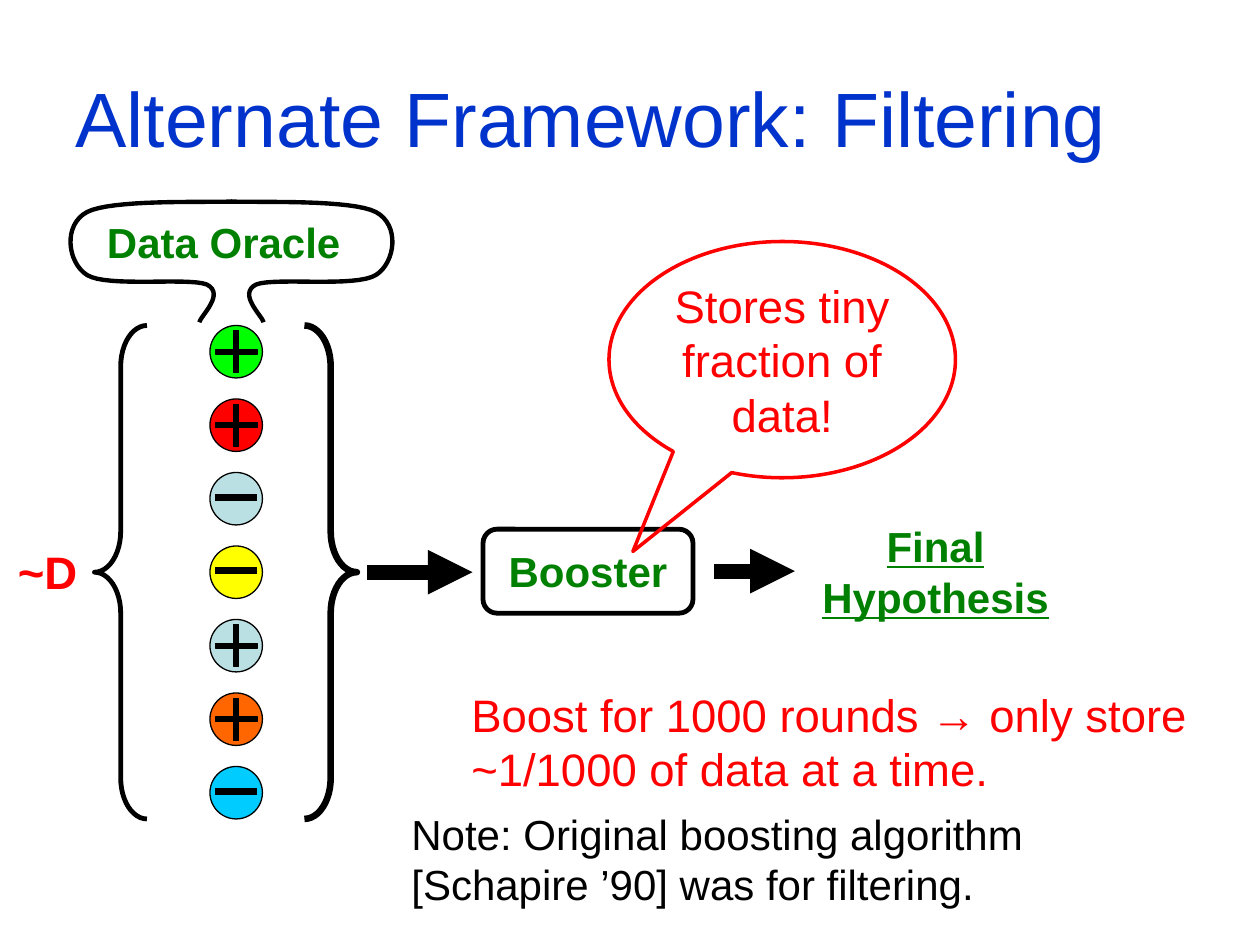
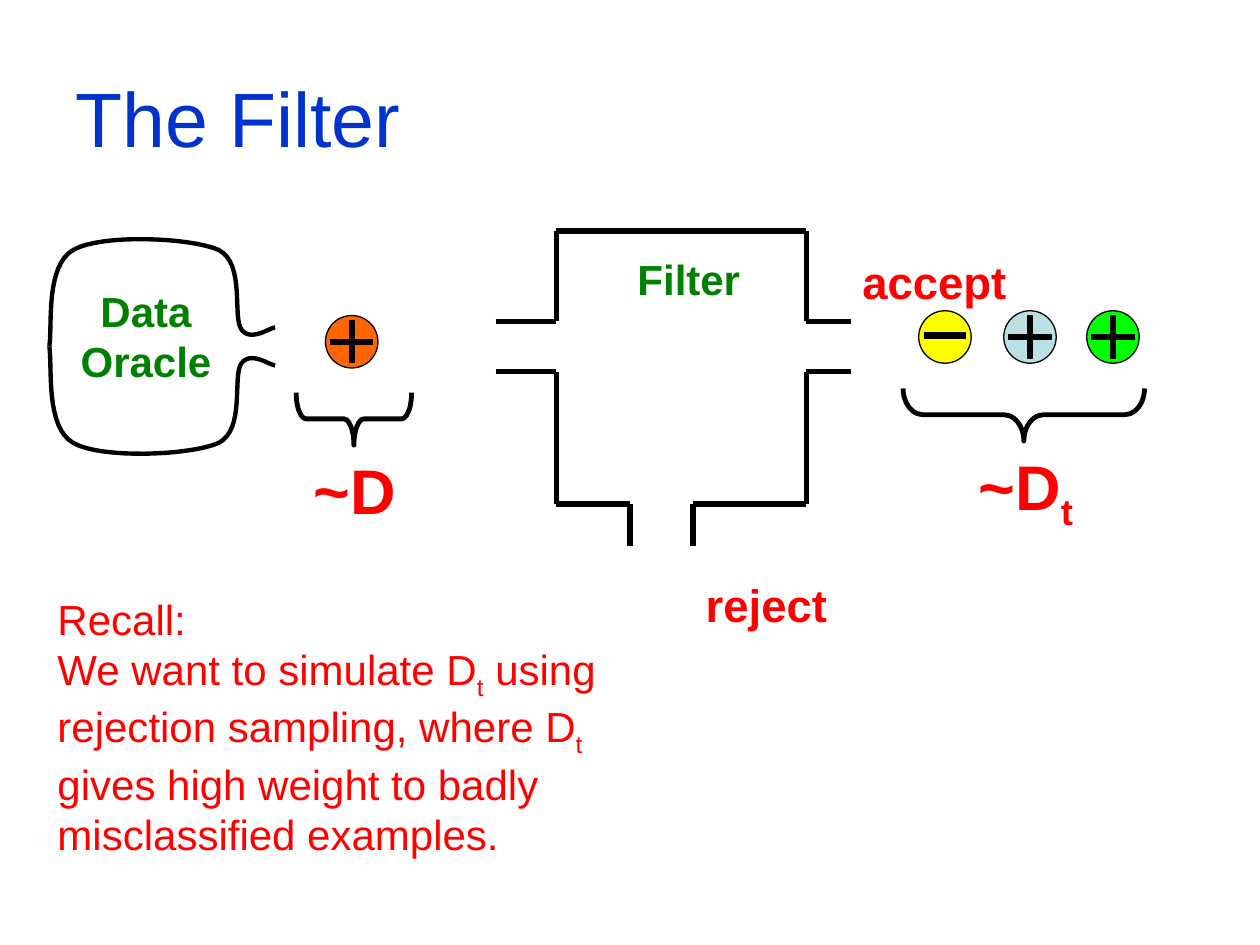
"""Build two slides on boosting by filtering, laid out on a 120 by 90 grid."""
from dataclasses import dataclass
from itertools import pairwise

from lxml import etree
from pptx import Presentation, util as u
from pptx.dml.color import RGBColor
from pptx.enum import shapes, text
from pptx.oxml.ns import qn

WIDTH, HEIGHT = u.Inches(10), u.Inches(7.5)
COLUMNS, ROWS = 120, 90
FONT = "Arial"
BLACK, BLUE, GREEN, RED = "000000", "0033CC", "008000", "FF0000"
LIME, PALE, YELLOW, ORANGE, SKY = "00FF00", "BBE0E3", "FFFF00", "FF6600", "00CCFF"
KIND = shapes.MSO_SHAPE
LEFT, CENTER = text.PP_ALIGN.LEFT, text.PP_ALIGN.CENTER
ORB, MARK = 5, 4
CURVE_STEPS = 16

Point = tuple[float, float]


@dataclass(frozen=True)
class Area:
    """A place on the grid, in columns and rows."""
    left: float
    top: float
    width: float
    height: float


@dataclass(frozen=True)
class Style:
    """How a piece of text looks."""
    size: float
    color: str
    bold: bool = False
    underline: bool = False
    align: text.PP_ALIGN = CENTER


@dataclass(frozen=True)
class Label:
    """Text in an area; bars enclose subscripts."""
    words: str
    area: Area
    style: Style
    wrap: bool = True
    anchor: text.MSO_ANCHOR = text.MSO_ANCHOR.TOP


@dataclass(frozen=True)
class Orb:
    """A coloured example with its plus or minus sign."""
    x: float
    y: float
    color: str
    positive: bool


@dataclass(frozen=True)
class Brace:
    """A curly brace; bend is its corner length as a share of its depth."""
    area: Area
    weight: float
    bend: float
    kind: shapes.MSO_SHAPE = KIND.RIGHT_BRACE
    turn: float = 0


TITLE = Style(44, BLUE, align=LEFT)
NAME = Style(24, GREEN, bold=True)
RESULT = Style(24, GREEN, bold=True, underline=True)
TAG = Style(26, RED, bold=True)
BIG_TAG = Style(36, RED, bold=True)
SPEECH = Style(26, RED)
CLAIM = Style(26, RED, align=LEFT)
RECALL = Style(24, RED, align=LEFT)
REMARK = Style(24, BLACK, align=LEFT)


def across(columns: float) -> int:
    """Turn columns into a length."""
    return round(columns * WIDTH / COLUMNS)


def down(rows: float) -> int:
    """Turn rows into a length."""
    return round(rows * HEIGHT / ROWS)


def place(area: Area) -> tuple[int, int, int, int]:
    """Turn an area into left, top, width and height."""
    return across(area.left), down(area.top), across(area.width), down(area.height)


def rgb(color: str) -> RGBColor:
    """Turn a hex string into a colour."""
    return RGBColor.from_string(color)


def apply(target, values: dict) -> None:
    """Set each named attribute of the target."""
    for name, value in values.items():
        setattr(target, name, value)


def set_line(shape, color: str, weight: float) -> None:
    """Colour and size a line."""
    shape.line.color.rgb = rgb(color)
    shape.line.width = u.Pt(weight)


def finish(shape, fill: str | None, color: str, weight: float):
    """Give a shape its fill and line, without a shadow."""
    shape.shadow.inherit = False
    if fill:
        shape.fill.solid()
        shape.fill.fore_color.rgb = rgb(fill)
    else:
        shape.fill.background()
    set_line(shape, color, weight)
    return shape


def write(box, words: str, style: Style, wrap: bool, anchor: text.MSO_ANCHOR) -> None:
    """Fill a shape with styled paragraphs."""
    frame = box.text_frame
    apply(frame, {"word_wrap": wrap, "vertical_anchor": anchor})
    if not wrap:
        frame.auto_size = text.MSO_AUTO_SIZE.SHAPE_TO_FIT_TEXT
    for row, line in enumerate(words.split("\n")):
        para = frame.add_paragraph() if row else frame.paragraphs[0]
        para.alignment = style.align
        for part, piece in enumerate(line.split("|")):
            if not piece:
                continue
            span = para.add_run()
            span.text = piece
            apply(span.font, {"name": FONT, "size": u.Pt(style.size),
                              "bold": style.bold, "underline": style.underline})
            span.font.color.rgb = rgb(style.color)
            if part % 2:
                span.font._element.set("baseline", "-25000")


def add_label(page, label: Label) -> None:
    """Draw a text box."""
    box = page.shapes.add_textbox(*place(label.area))
    write(box, label.words, label.style, label.wrap, label.anchor)


def add_preset(page, kind, area: Area, fill: str | None, color: str, weight: float,
               adjust: tuple[float, ...] = ()):
    """Draw a preset shape."""
    shape = page.shapes.add_shape(kind, *place(area))
    for index, value in enumerate(adjust):
        shape.adjustments[index] = value
    return finish(shape, fill, color, weight)


def add_line(page, start: Point, end: Point, weight: float, arrow: bool = False) -> None:
    """Draw a straight black line, with an arrowhead if asked."""
    line = page.shapes.add_connector(shapes.MSO_CONNECTOR.STRAIGHT, across(start[0]),
                                     down(start[1]), across(end[0]), down(end[1]))
    set_line(line, BLACK, weight)
    if arrow:
        etree.SubElement(line.line._get_or_add_ln(), qn("a:tailEnd"), type="triangle")
    etree.SubElement(line._element.spPr, qn("a:effectLst"))


def add_orb(page, orb: Orb) -> None:
    """Draw an example and its sign."""
    def centred(size: float) -> Area:
        """Centre a square on the orb."""
        return Area(orb.x - size / 2, orb.y - size / 2, size, size)

    add_preset(page, KIND.OVAL, centred(ORB), orb.color, BLACK, 0.75)
    if orb.positive:
        add_preset(page, KIND.CROSS, centred(MARK), BLACK, BLACK, 0.75, (0.443,))
    else:
        y = orb.y - 0.15
        add_line(page, (orb.x - MARK / 2, y), (orb.x + MARK / 2, y), 4)


def add_brace(page, brace: Brace) -> None:
    """Draw a curly brace."""
    shape = add_preset(page, brace.kind, brace.area, None, BLACK, brace.weight,
                       (brace.bend, 0.5))
    shape.rotation = brace.turn


def bezier(a: Point, b: Point, c: Point, d: Point) -> list[Point]:
    """Sample a cubic curve after its first point."""
    samples = []
    for step in range(1, CURVE_STEPS + 1):
        t = step / CURVE_STEPS
        s = 1 - t
        weights = s ** 3, 3 * s * s * t, 3 * s * t * t, t ** 3
        samples.append(tuple(sum(w * p[axis] for w, p in zip(weights, (a, b, c, d)))
                             for axis in (0, 1)))
    return samples


def add_curve(page, knots: list[Point]) -> None:
    """Draw an open outline through joined cubic curves."""
    points = [knots[0]]
    for first in range(0, len(knots) - 1, 3):
        points += bezier(*knots[first:first + 4])
    dots = [(across(x), down(y)) for x, y in points]
    pen = page.shapes.build_freeform(*dots[0])
    pen.add_line_segments(dots[1:], close=False)
    finish(pen.convert_to_shape(), None, BLACK, 2.5)


def add_page(deck, title: str):
    """Add a blank page with its title."""
    page = deck.slides.add_slide(deck.slide_layouts[6])
    add_label(page, Label(title, Area(6, 3.6, 108, 15), TITLE,
                          anchor=text.MSO_ANCHOR.MIDDLE))
    return page


def build_framework(deck) -> None:
    """Show the oracle feeding the booster."""
    page = add_page(deck, "Alternate Framework: Filtering")
    examples = [(LIME, True), (RED, True), (PALE, False), (YELLOW, False),
                (PALE, True), (ORANGE, True), (SKY, False)]
    for row, (color, positive) in enumerate(examples):
        add_orb(page, Orb(22.5, 33.5 + 7 * row, color, positive))

    flask = [(19, 30.7), (19.1, 30.1), (21.5, 28), (19.7, 27.1), (17.9, 26.4),
             (10.2, 27.4), (8.3, 26.2), (6.4, 25), (6, 21.4), (8.3, 20.2),
             (10.6, 19), (19.2, 19.3), (22.1, 19.2)]
    add_curve(page, flask)
    add_curve(page, [(44.1 - x, y) for x, y in flask])

    add_brace(page, Brace(Area(9, 31, 5, 47), 2.75, 0.78, KIND.LEFT_BRACE))
    add_brace(page, Brace(Area(29, 31, 5, 47), 3.75, 0.78))
    add_line(page, (35, 54.5), (45, 54.5), 8.5, arrow=True)
    add_line(page, (68, 54.4), (75.7, 54.4), 8.5, arrow=True)
    add_preset(page, KIND.ROUNDED_RECTANGLE, Area(46, 50.4, 20, 8), None, BLACK, 2.75,
               (0.167,))
    for label in (
        Label("Data Oracle", Area(9, 20, 24.6, 6), NAME, wrap=False),
        Label("Booster", Area(47, 51.4, 18, 6), NAME),
        Label("Final Hypothesis", Area(75.7, 49, 26.8, 10.8), RESULT),
        Label("~D", Area(0.1, 51.2, 8.9, 6.5), TAG),
        Label("Boost for 1000 rounds → only store ~1/1000 of data at a time.",
              Area(43.7, 64.8, 72.4, 11.6), CLAIM),
        Label("Note: Original boosting algorithm [Schapire ’90] was for filtering.",
              Area(38, 76.4, 72.4, 10.8), REMARK),
    ):
        add_label(page, label)
    callout = add_preset(page, KIND.OVAL_CALLOUT, Area(58, 23, 33, 22.5), None, RED, 2,
                         (-0.431, 0.812))
    write(callout, "Stores tiny fraction of data!", SPEECH, True, text.MSO_ANCHOR.MIDDLE)


def build_filter(deck) -> None:
    """Show the filter accepting and rejecting examples."""
    page = add_page(deck, "The Filter")
    for orb in (Orb(33.5, 32.55, ORANGE, True), Orb(90, 32.1, YELLOW, False),
                Orb(98.1, 32.1, PALE, True), Orb(106, 32.1, LIME, True)):
        add_orb(page, orb)

    bottle = [(26.2, 31.2), (25.7, 31.2), (23.9, 32.6), (23, 31.4), (22.1, 30.2),
              (23.4, 25.1), (20.8, 23.8), (18, 22.6), (9.6, 22.3), (7, 23.8),
              (4.3, 25.3), (5, 31), (4.7, 33)]
    add_curve(page, bottle)
    add_curve(page, [(x, 66 - y) for x, y in bottle])

    inlet, west, east, outlet = 47.2, 53, 76.8, 81
    roof, upper, lower, floor, drain = 22, 30.6, 35.4, 48, 52
    walls = [
        [(inlet, upper), (west, upper), (west, roof), (east, roof), (east, upper),
         (outlet, upper)],
        [(inlet, lower), (west, lower), (west, floor), (60, floor), (60, drain)],
        [(outlet, lower), (east, lower), (east, floor), (66, floor), (66, drain)],
    ]
    for wall in walls:
        for start, end in pairwise(wall):
            add_line(page, start, end, 3)

    add_brace(page, Brace(Area(31.2, 34.4, 5, 11), 2.75, 0.19, turn=90))
    add_brace(page, Brace(Area(95, 28, 5, 23), 2.75, 0.38, turn=90))
    for label in (
        Label("Data Oracle", Area(6.4, 26.6, 15, 10.8), NAME),
        Label("Filter", Area(58.1, 23.6, 15, 6), NAME),
        Label("~D", Area(28.7, 42.4, 10.2, 8.4), BIG_TAG, wrap=False),
        Label("~D|t|", Area(92, 42, 11.4, 9.5), BIG_TAG, wrap=False),
        Label("accept", Area(80, 23.6, 18, 6.5), TAG, wrap=False),
        Label("reject", Area(65, 54.4, 16, 6.5), TAG, wrap=False),
        Label("Recall:\nWe want to simulate D|t| using rejection sampling, where D|t|"
              " gives high weight to badly misclassified examples.",
              Area(4.3, 55.9, 53.8, 26.5), RECALL),
    ):
        add_label(page, label)


def main() -> None:
    """Build and save the deck."""
    deck = Presentation()
    apply(deck, {"slide_width": WIDTH, "slide_height": HEIGHT})
    build_framework(deck)
    build_filter(deck)
    deck.save("out.pptx")


if __name__ == "__main__":
    main()
